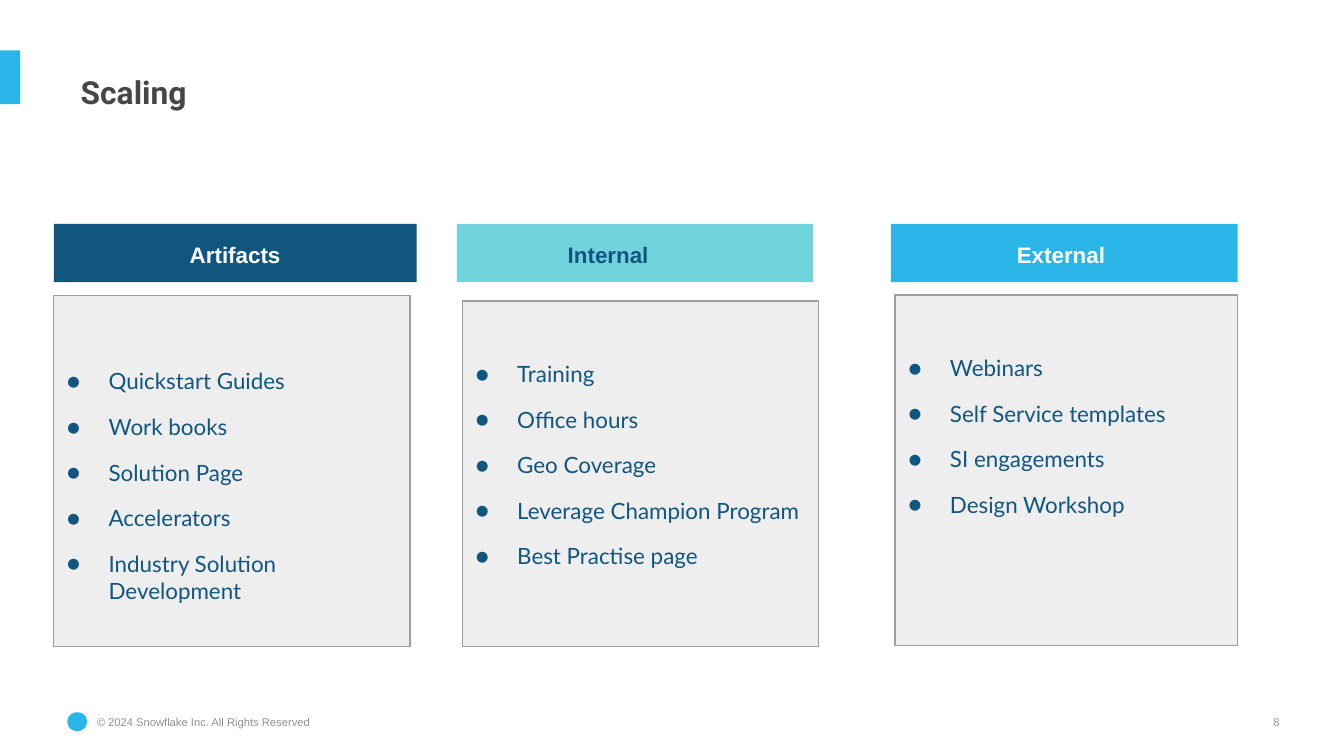
from pptx import Presentation
from pptx.dml.color import RGBColor
from pptx.enum.shapes import MSO_SHAPE as Shape
from pptx.enum.text import MSO_ANCHOR as Anchor, MSO_AUTO_SIZE as AutoSize, PP_ALIGN as Align
from pptx.oxml.ns import qn
from pptx.util import Inches, Pt
from lxml.etree import SubElement

WHITE = RGBColor(0xFF, 0xFF, 0xFF)
NAVY = RGBColor(0x11, 0x56, 0x7F)
TEAL = RGBColor(0x71, 0xD3, 0xDC)
SKY = RGBColor(0x29, 0xB5, 0xE8)
CHARCOAL = RGBColor(0x44, 0x47, 0x46)
PANEL = RGBColor(0xEE, 0xEE, 0xEE)
BORDER = RGBColor(0x9E, 0x9E, 0x9E)
GREY = RGBColor(0x92, 0x92, 0x92)

deck = Presentation()
deck.slide_width = Inches(10)
deck.slide_height = deck.slide_width * 9 // 16
UNIT = deck.slide_width / 100  # square grid, 100 columns across
page = deck.slides.add_slide(deck.slide_layouts.get_by_name("Comparison"))


def place(box, *cells):
    """Put a box at left, top, width and height given in grid units."""
    for side, cell in zip(("left", "top", "width", "height"), cells):
        setattr(box, side, round(cell * UNIT))


def write(box, lines, font, paragraph, margins=(1, 1, 1, 1), anchor=Anchor.TOP, bullet=None):
    """Fill a box with lines; margins are left, top, right, bottom in grid units."""
    frame = box.text_frame
    frame.text = "\n".join(lines)
    frame.word_wrap, frame.auto_size, frame.vertical_anchor = True, AutoSize.NONE, anchor
    for side, margin in zip(("left", "top", "right", "bottom"), margins):
        setattr(frame, f"margin_{side}", round(margin * UNIT))
    color = font["color"]
    for number, para in enumerate(frame.paragraphs):
        for name, value in paragraph.items():
            setattr(para, name, value)
        if number == 0:
            para.space_before = Pt(0)
        properties = para._p.get_or_add_pPr()
        properties.set("marL", str(Inches(0.31) if bullet else 0))
        properties.set("indent", str(Inches(-0.33) if bullet else 0))
        if bullet:
            bullet_color = SubElement(properties, qn("a:buClr"))
            SubElement(bullet_color, qn("a:srgbClr"), val=str(color))
            SubElement(properties, qn("a:buFont"), typeface=font["name"])
            SubElement(properties, qn("a:buChar"), char=bullet)
        else:
            SubElement(properties, qn("a:buNone"))
        for span in para.runs:
            for name in ("name", "size", "bold"):
                setattr(span.font, name, font[name])
            span.font.color.rgb = color


# Title and accents
for kind, cells in ((Shape.RECTANGLE, (0, 3.75, 1.5, 4)), (Shape.OVAL, (5, 53, 1.5, 1.4))):
    accent = page.shapes.add_shape(kind, 0, 0, 0, 0)
    place(accent, *cells)
    accent.shadow.inherit = False
    accent.fill.solid()
    accent.fill.fore_color.rgb = SKY
    accent.line.fill.background()

title = page.shapes.title
place(title, 5, 3.8, 91, 6.4)
write(title, ["Scaling"], dict(name="Roboto", size=Pt(17), bold=True, color=CHARCOAL),
      dict(alignment=Align.LEFT, line_spacing=0.85), (1, 2.05, 1, 1))

# Three columns: a heading bar above a bulleted panel
columns = [
    dict(heading="Artifacts", fill=NAVY, color=WHITE, bar=(4, 27), bar_right=1,
         panel=(4, 22, 26.5, 26.1), panel_top=5.35,
         items=["Quickstart Guides", "Work books", "Solution Page", "Accelerators",
                "Industry Solution Development"]),
    dict(heading="Internal", fill=TEAL, color=NAVY, bar=(34, 26.5), bar_right=5,
         panel=(34.4, 22.4, 26.5, 25.7), panel_top=4.4,
         items=["Training", "Office hours", "Geo Coverage", "Leverage Champion Program",
                "Best Practise page"]),
    dict(heading="External", fill=SKY, color=WHITE, bar=(66.3, 25.8), bar_right=1.5,
         panel=(66.6, 21.95, 25.5, 26.1), panel_top=4.4,
         items=["Webinars", "Self Service templates", "SI engagements", "Design Workshop"]),
]
*headings, spare = [box for box in page.placeholders if box.placeholder_format.idx > 0]
spare.element.getparent().remove(spare.element)

for heading, column in zip(headings, columns):
    left, width = column["bar"]
    place(heading, left, 16.65, width, 4.35)
    heading.fill.solid()
    heading.fill.fore_color.rgb = column["fill"]
    write(heading, [column["heading"]],
          dict(name="Arial", size=Pt(12), bold=True, color=column["color"]),
          dict(alignment=Align.CENTER, line_spacing=1.15), (1, 1, column["bar_right"], 1))

    panel = page.shapes.add_shape(Shape.RECTANGLE, 0, 0, 0, 0)
    place(panel, *column["panel"])
    panel.shadow.inherit = False
    panel.fill.solid()
    panel.fill.fore_color.rgb = PANEL
    panel.line.color.rgb = BORDER
    panel.line.width = Pt(0.75)
    write(panel, column["items"], dict(name="Lato", size=Pt(12), bold=False, color=NAVY),
          dict(alignment=Align.LEFT, space_before=Pt(10)), (1, column["panel_top"], 1, 1),
          bullet="●")

# Footer
for line, left, width, alignment, anchor in (
    ("© 2024 Snowflake Inc. All Rights Reserved", 7.2, 16.1, Align.LEFT, Anchor.TOP),
    ("8", 90, 5.2, Align.RIGHT, Anchor.BOTTOM),
):
    footer = page.shapes.add_textbox(0, 0, 0, 0)
    place(footer, left, 53.2, width, 1)
    write(footer, [line], dict(name="Arial", size=Pt(6), bold=False, color=GREY),
          dict(alignment=alignment), (0, 0, 0, 0), anchor)

deck.save("out.pptx")
